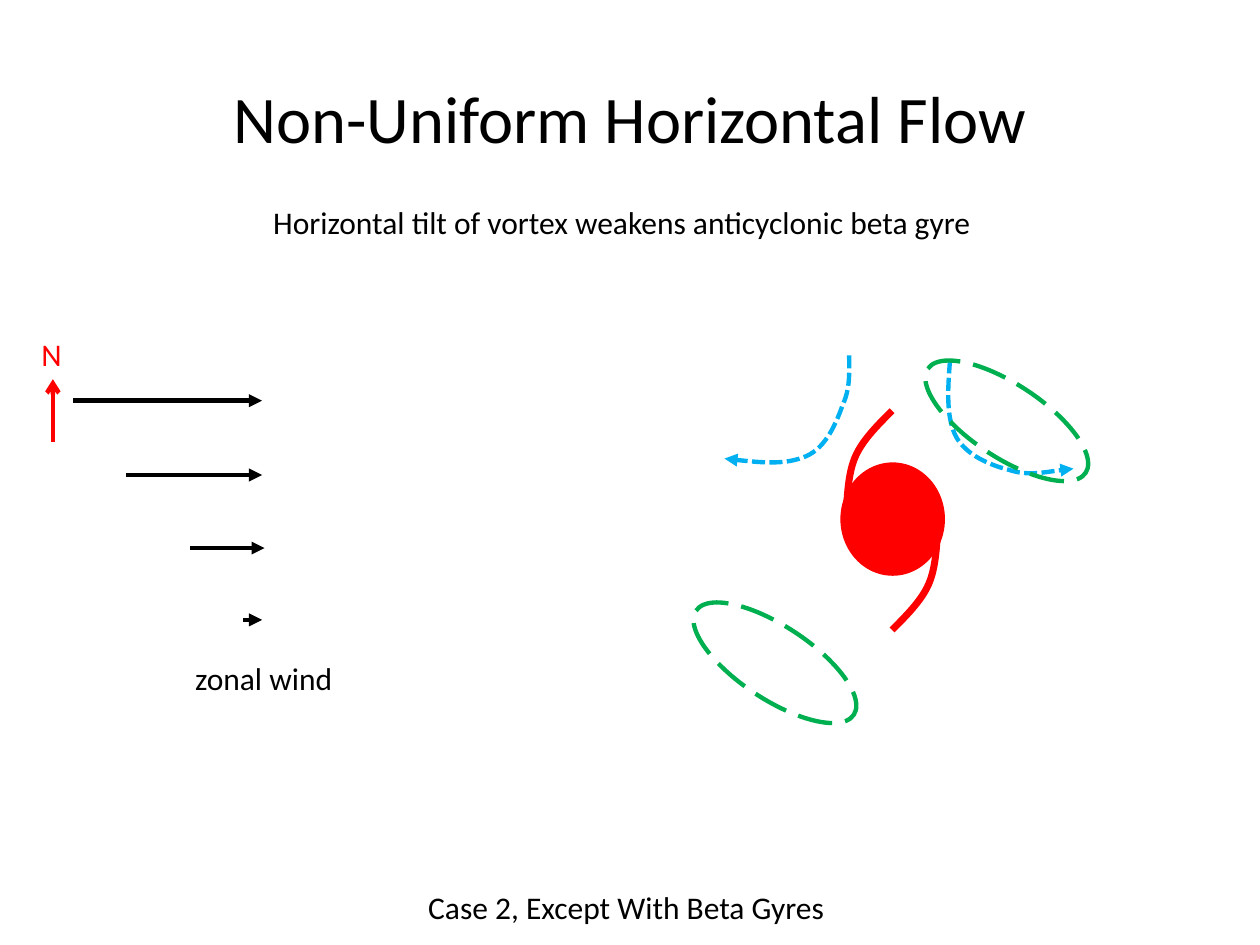
from lxml import etree
from pptx import Presentation
from pptx import util as u
from pptx.dml.color import RGBColor
from pptx.enum import dml, shapes, text
from pptx.oxml.ns import qn

BLACK, RED, BLUE, GREEN = "000000", "FF0000", "00B0F0", "00B050"


def colour(value):
    """Turn a hex string into a colour."""
    return RGBColor.from_string(value)


class Diagram:
    """Holds the style and the slide being drawn."""

    font = "Calibri"
    weight = 2.5

    def __init__(self, slide):
        self.slide = slide

    def label(self, words, left, top, width, height=0.4, size=18, ink=BLACK, centred=False, wrap=False):
        """Add one line of text."""
        box = self.slide.shapes.add_textbox(*map(u.Inches, (left, top, width, height)))
        frame = box.text_frame
        frame.text = words
        frame.word_wrap = wrap
        if wrap:
            frame.vertical_anchor = text.MSO_ANCHOR.MIDDLE
        else:
            frame.auto_size = text.MSO_AUTO_SIZE.SHAPE_TO_FIT_TEXT
        para = frame.paragraphs[0]
        para.alignment = text.PP_ALIGN.CENTER if centred else text.PP_ALIGN.LEFT
        span = para.runs[0]
        span.font.name = self.font
        span.font.size = u.Pt(size)
        span.font.color.rgb = colour(ink)

    def stroke(self, line, ink, weight=weight, dash=None, tip=None):
        """Style an outline, with an optional dash and arrowhead."""
        line.color.rgb = colour(ink)
        line.width = u.Pt(weight)
        if dash:
            line.dash_style = dash
        if tip:
            etree.SubElement(line._get_or_add_ln(), qn("a:tailEnd")).set("type", tip)

    def arrow(self, start, end, ink=BLACK, tip="triangle"):
        """Add a straight arrow."""
        connector = self.slide.shapes.add_connector(
            shapes.MSO_CONNECTOR.STRAIGHT, *map(u.Inches, (*start, *end)))
        etree.SubElement(connector._element.spPr, qn("a:effectLst"))
        self.stroke(connector.line, ink, tip=tip)

    def ellipse(self, left, top, width, height, fill=None, angle=0):
        """Add a filled disc, or a dashed green gyre when no fill is given."""
        oval = self.slide.shapes.add_shape(
            shapes.MSO_SHAPE.OVAL, *map(u.Inches, (left, top, width, height)))
        oval.shadow.inherit = False
        oval.rotation = angle
        if fill:
            oval.fill.solid()
            oval.fill.fore_color.rgb = colour(fill)
            oval.line.fill.background()
        else:
            oval.fill.background()
            self.stroke(oval.line, GREEN, dash=dml.MSO_LINE.LONG_DASH)
        return oval

    def curve(self, points, ink, **style):
        """Add an open Bezier curve: a start, then three points for each segment."""
        start, *rest = [tuple(map(u.Inches, point)) for point in points]
        builder = self.slide.shapes.build_freeform(*start)
        builder.add_line_segments(rest, close=False)
        shape = builder.convert_to_shape()
        shape.shadow.inherit = False
        shape.fill.background()
        self.stroke(shape.line, ink, **style)
        path = next(shape._element.iter(qn("a:path")))
        steps = path.findall(qn("a:lnTo"))
        for first in range(0, len(steps), 3):
            bezier = etree.SubElement(path, qn("a:cubicBezTo"))
            for step in steps[first:first + 3]:
                bezier.append(step[0])
                path.remove(step)
        return shape


def main():
    """Build the slide and save it."""
    deck = Presentation()
    deck.slide_width, deck.slide_height = u.Inches(10), u.Inches(7.5)
    diagram = Diagram(deck.slides.add_slide(deck.slide_layouts[6]))

    diagram.label("Non-Uniform Horizontal Flow", 0.5, 0.3, 9, 1.25, size=38, centred=True, wrap=True)

    for left, right, y in [(0.58, 2.08, 3.18), (1, 2.08, 3.77), (1.51, 2.1, 4.35), (1.93, 2.08, 4.92)]:
        diagram.arrow((left, y), (right, y))
    diagram.arrow((0.42, 3.51), (0.42, 3.01), RED, "arrow")
    diagram.label("N", 0.23, 2.61, 0.36, ink=RED)
    diagram.label("zonal wind", 1.45, 5.18, 1.3)

    vortex = [diagram.ellipse(6.67, 3.67, 0.83, 0.9, fill=RED)]
    upper_arm = [(6.72, 4.01), (6.73, 3.87), (6.74, 3.72), (6.8, 3.6), (6.86, 3.48), (6.97, 3.37), (7.08, 3.26)]
    lower_arm = [(14.16 - x, 8.26 - y) for x, y in upper_arm]
    vortex += [diagram.curve(arm, RED, weight=4) for arm in (upper_arm, lower_arm)]
    diagram.slide.shapes.add_group_shape(vortex)

    west_flow = [(6.74, 2.82), (6.74, 2.95), (6.75, 3.08), (6.69, 3.21), (6.64, 3.35),
                 (6.56, 3.55), (6.4, 3.62), (6.24, 3.69), (6, 3.67), (5.75, 3.64)]
    east_flow = [(7.54, 2.86), (7.52, 3.11), (7.51, 3.32), (7.59, 3.47), (7.67, 3.61),
                 (7.85, 3.69), (8.01, 3.73), (8.16, 3.78), (8.39, 3.73), (8.52, 3.72)]
    for flow in (west_flow, east_flow):
        diagram.curve(flow, BLUE, dash=dml.MSO_LINE.SQUARE_DOT, tip="triangle")

    diagram.label("Case 2, Except With Beta Gyres", 3.28, 7, 3.38, centred=True)
    for left, top in [(7.24, 3.05), (5.4, 4.97)]:
        diagram.ellipse(left, top, 1.5, 0.58, angle=33.4)
    diagram.label("Horizontal tilt of vortex weakens anticyclonic beta gyre", 2.07, 1.56, 5.8)

    deck.save("out.pptx")


if __name__ == "__main__":
    main()
